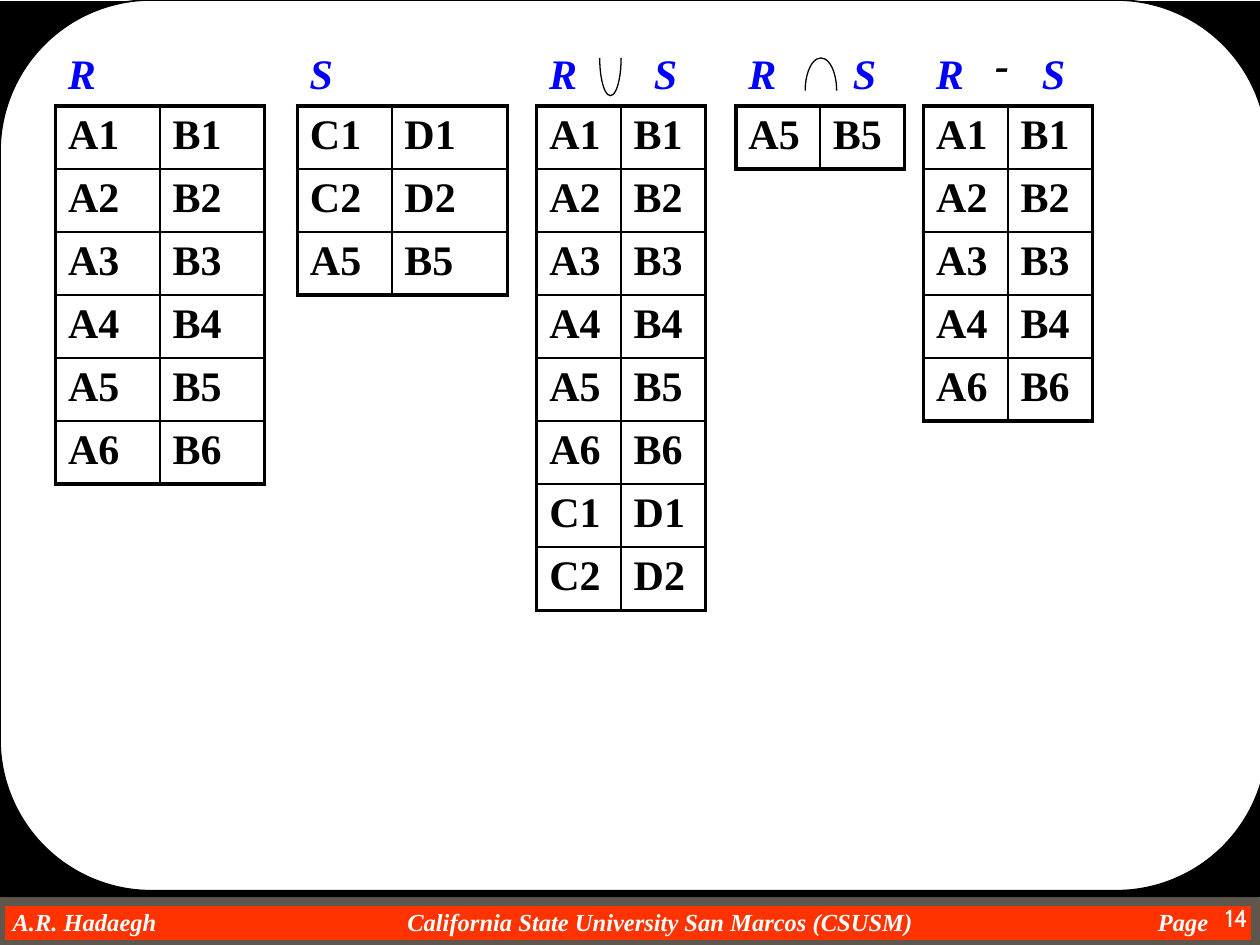
from dataclasses import dataclass

from lxml import etree
from pptx import Presentation
from pptx.dml.color import RGBColor
from pptx.enum.shapes import MSO_SHAPE
from pptx.enum.text import PP_ALIGN
from pptx.oxml.ns import qn
from pptx.util import Inches, Pt

RECTANGLE, ROUNDED, ARC = MSO_SHAPE.RECTANGLE, MSO_SHAPE.ROUNDED_RECTANGLE, MSO_SHAPE.ARC
LEFT, CENTER, RIGHT = PP_ALIGN.LEFT, PP_ALIGN.CENTER, PP_ALIGN.RIGHT


@dataclass(frozen=True)
class Theme:
    serif: str = "Times New Roman"
    sans: str = "Cabin"
    black: str = "000000"
    white: str = "FFFFFF"
    heading: str = "0000FF"
    bar: str = "FF3300"
    bar_edge: str = "5E574E"
    body_size: float = 24
    footer_size: float = 14
    outer_line: float = 2.25
    inner_line: float = 1
    symbol_line: float = 0.75


THEME = Theme()
ROW_HEIGHT = 0.5
TABLE_TOP = 0.84
HEADING_TOP = 0.33

R_ROWS = [(f"A{i}", f"B{i}") for i in range(1, 7)]
S_ROWS = [("C1", "D1"), ("C2", "D2"), ("A5", "B5")]
SHARED = [row for row in R_ROWS if row in S_ROWS]
UNION = R_ROWS + [row for row in S_ROWS if row not in R_ROWS]
DIFFERENCE = [row for row in R_ROWS if row not in S_ROWS]

# left, column widths, rows, headings as (text, offset from the left)
RELATIONS = [
    (0.44, (0.83, 0.83), R_ROWS, [("R", 0)]),
    (2.36, (0.75, 0.92), S_ROWS, [("S", 0)]),
    (4.26, (0.67, 0.67), UNION, [("R", 0), ("S", 0.83)]),
    (5.84, (0.67, 0.67), SHARED, [("R", 0), ("S", 0.83)]),
    (7.33, (0.67, 0.67), DIFFERENCE, [("R", 0), ("S", 0.84)]),
]
# ellipse box, start and end angle clockwise from the right
SET_SYMBOLS = [
    ((4.76, 0.16, 0.17, 0.6), 0, 180),
    ((6.39, 0.46, 0.25, 0.52), 180, 0),
]
FOOTER = [
    ("A.R. Hadaegh", 0.1, 2.5, LEFT),
    ("California State University San Marcos (CSUSM)", 2.74, 5, CENTER),
    ("Page", 8.59, 1, RIGHT),
]


def color(value):
    return RGBColor.from_string(value)


def add_run(paragraph, text, size, ink, font=THEME.serif, bold=True, italic=True):
    run = paragraph.add_run()
    run.text = text
    run.font.name, run.font.size = font, Pt(size)
    run.font.bold, run.font.italic = bold, italic
    run.font.color.rgb = color(ink)


def add_text(slide, text, box, size, ink, align=LEFT, inset=True, **style):
    shape = slide.shapes.add_textbox(*map(Inches, box))
    frame = shape.text_frame
    frame.word_wrap = True
    if not inset:
        frame.margin_left = frame.margin_right = frame.margin_top = frame.margin_bottom = 0
    paragraph = frame.paragraphs[0]
    paragraph.alignment = align
    add_run(paragraph, text, size, ink, **style)


def add_shape(slide, kind, box, fill=None, line=None, width=1):
    shape = slide.shapes.add_shape(kind, *map(Inches, box))
    shape.shadow.inherit = False
    if fill:
        shape.fill.solid()
        shape.fill.fore_color.rgb = color(fill)
    else:
        shape.fill.background()
    if line:
        shape.line.color.rgb = color(line)
        shape.line.width = Pt(width)
    else:
        shape.line.fill.background()
    return shape


def set_borders(cell, widths):
    """Draw the cell's left, right, top and bottom lines, ahead of its fill in the XML."""
    properties = cell._tc.get_or_add_tcPr()
    for index, (side, width) in enumerate(zip("LRTB", widths)):
        line = etree.Element(qn(f"a:ln{side}"), w=str(Pt(width)))
        fill = etree.SubElement(line, qn("a:solidFill"))
        etree.SubElement(fill, qn("a:srgbClr"), val=THEME.black)
        properties.insert(index, line)


def add_relation(slide, left, widths, rows):
    box = (left, TABLE_TOP, sum(widths), ROW_HEIGHT * len(rows))
    table = slide.shapes.add_table(len(rows), len(widths), *map(Inches, box)).table
    table.first_row = table.horz_banding = False
    for column, width in zip(table.columns, widths):
        column.width = Inches(width)
    last_row, last_column = len(rows) - 1, len(widths) - 1
    for r, values in enumerate(rows):
        table.rows[r].height = Inches(ROW_HEIGHT)
        for c, value in enumerate(values):
            cell = table.cell(r, c)
            cell.fill.background()
            add_run(cell.text_frame.paragraphs[0], value, THEME.body_size,
                    THEME.black, italic=False)
            outer = (c == 0, c == last_column, r == 0, r == last_row)
            set_borders(cell, [THEME.outer_line if edge else THEME.inner_line
                               for edge in outer])


def add_frame(slide):
    add_shape(slide, RECTANGLE, (0, 7.15, 9.97, 0.35), THEME.bar, THEME.bar_edge, 6)
    for text, left, width, align in FOOTER:
        add_text(slide, text, (left, 7.2, width, 0.23), THEME.footer_size,
                 THEME.white, align, inset=False)
    add_shape(slide, RECTANGLE, (0, 0.01, 10, 7.11), THEME.black)
    panel = add_shape(slide, ROUNDED, (0, 0, 10.06, 7.07), THEME.white, THEME.black)
    panel.adjustments[0] = 0.17
    add_text(slide, "14", (9.25, 7.12, 0.75, 0.38), THEME.footer_size, THEME.white,
             RIGHT, font=THEME.sans, bold=False, italic=False)


def main():
    presentation = Presentation()
    presentation.slide_width, presentation.slide_height = Inches(10), Inches(7.5)
    slide = presentation.slides.add_slide(presentation.slide_layouts[6])
    add_frame(slide)
    for left, widths, rows, headings in RELATIONS:
        add_relation(slide, left, widths, rows)
        for text, offset in headings:
            add_text(slide, text, (left + offset, HEADING_TOP, 0.42, 0.5),
                     THEME.body_size, THEME.heading)
    for box, start, end in SET_SYMBOLS:
        arc = add_shape(slide, ARC, box, line=THEME.black, width=THEME.symbol_line)
        # an angle is stored in 60000ths of a degree, an adjustment in 100000ths
        arc.adjustments[0], arc.adjustments[1] = start * 0.6, end * 0.6
    add_text(slide, "-", (7.8, 0.26, 0.31, 0.5), THEME.body_size, THEME.black)
    presentation.save("out.pptx")


if __name__ == "__main__":
    main()
